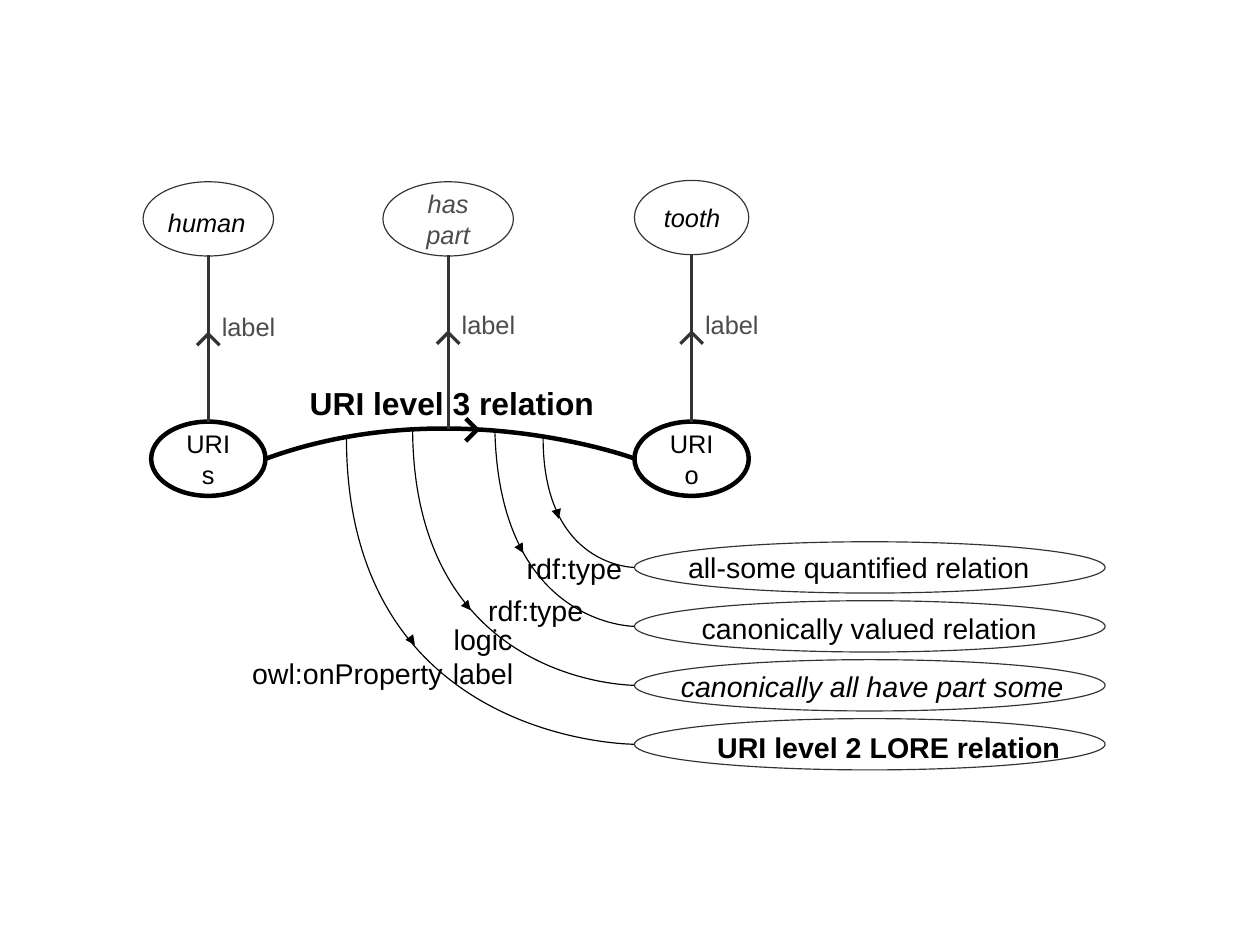
from lxml import etree
from pptx import Presentation
from pptx.dml.color import RGBColor
from pptx.enum.shapes import MSO_CONNECTOR, MSO_SHAPE
from pptx.enum.text import MSO_ANCHOR, MSO_AUTO_SIZE, PP_ALIGN
from pptx.oxml.ns import qn
from pptx.util import Cm, Pt

STRAIGHT = MSO_CONNECTOR.STRAIGHT
ELLIPSE = MSO_SHAPE.OVAL
CENTER, LEFT = PP_ALIGN.CENTER, PP_ALIGN.LEFT
MIDDLE = MSO_ANCHOR.MIDDLE
GROW = MSO_AUTO_SIZE.SHAPE_TO_FIT_TEXT

BLACK = RGBColor(0x00, 0x00, 0x00)
DARK = RGBColor(0x33, 0x33, 0x33)
GRAY = RGBColor(0x4C, 0x4C, 0x4C)
HAIR, THICK = 0, 2.83


class Diagram:
    font = "Arial"

    def __init__(self, slide):
        self.shapes = slide.shapes

    def stroke(self, sp, color, width):
        sp.line.color.rgb = color
        sp.line.width = Pt(width)

    def fill_text(self, tf, text, align, color=BLACK, **formats):
        tf.word_wrap = True
        p = tf.paragraphs[0]
        p.alignment = align
        r = p.add_run()
        r.text = text
        r.font.color.rgb = color
        for name, value in {"name": self.font, **formats}.items():
            setattr(r.font, name, value)

    def ellipse(self, x, y, w, h, color=DARK, width=HAIR, text="", text_color=BLACK,
                inset=(0.25, 0.13), **formats):
        sp = self.shapes.add_shape(ELLIPSE, Cm(x), Cm(y), Cm(w), Cm(h))
        sp.shadow.inherit = False
        sp.fill.background()
        self.stroke(sp, color, width)
        if text:
            tf = sp.text_frame
            tf.vertical_anchor = MIDDLE
            tf.margin_left = tf.margin_right = Cm(inset[0])
            tf.margin_top = tf.margin_bottom = Cm(inset[1])
            self.fill_text(tf, text, CENTER, text_color, **formats)
        return sp

    def text(self, x, y, w, h, text, align=CENTER, color=BLACK, **formats):
        tf = self.shapes.add_textbox(Cm(x), Cm(y), Cm(w), Cm(h)).text_frame
        tf.auto_size = GROW
        self.fill_text(tf, text, align, color, **formats)

    def line(self, start, end, color=DARK, width=HAIR, arrow=False, shapes=None):
        points = [Cm(v) for v in (*start, *end)]
        c = (shapes or self.shapes).add_connector(STRAIGHT, *points)
        self.stroke(c, color, width)
        if arrow:
            ln = c._element.spPr.find(qn("a:ln"))
            etree.SubElement(ln, qn("a:tailEnd"), type="triangle")
        etree.SubElement(c._element.spPr, qn("a:effectLst"))
        return c

    def chevron(self, tip, legs, color=DARK, width=HAIR):
        group = self.shapes.add_group_shape()
        for dx, dy in legs:
            self.line((tip[0] + dx, tip[1] + dy), tip, color, width, shapes=group.shapes)

    def curve(self, start, control1, control2, end, width=HAIR, apex=None):
        """Cubic curve; apex is its highest point when that lies between the ends."""
        fb = self.shapes.build_freeform(Cm(start[0]), Cm(start[1]))
        outline = [apex, end] if apex else [end]
        fb.add_line_segments([(Cm(x), Cm(y)) for x, y in outline], close=False)
        sp = fb.convert_to_shape()
        track = sp._element.find(".//" + qn("a:path"))
        for segment in track.findall(qn("a:lnTo")):
            track.remove(segment)
        bezier = etree.SubElement(track, qn("a:cubicBezTo"))
        for x, y in (control1, control2, end):
            etree.SubElement(bezier, qn("a:pt"), x=str(Cm(x) - sp.left), y=str(Cm(y) - sp.top))
        sp.shadow.inherit = False
        sp.fill.background()
        self.stroke(sp, BLACK, width)


def main():
    prs = Presentation()
    prs.slide_width, prs.slide_height = Cm(28), Cm(21)
    d = Diagram(prs.slides.add_slide(prs.slide_layouts[6]))
    small, medium = {"size": Pt(16)}, {"size": Pt(18)}

    # Subject, object and the relation between them
    subject, target = [
        d.ellipse(x, 9.37, 2.54, 1.65, BLACK, THICK, text, inset=(0.3, 0.18), **small)
        for x, text in ((3.36, "URI s"), (14.1, "URI o"))]
    d.curve((5.92, 10.19), (10.03, 8.69), (14.1, 10.19), (14.1, 10.19), THICK, apex=(10, 9.52))
    d.chevron((10.6, 9.55), ((-0.25, -0.25), (-0.25, 0.25)), BLACK, THICK)

    # Names above, each with its stem, arrow and label
    d.ellipse(3.18, 4.04, 2.9, 1.65)
    d.ellipse(8.51, 4.04, 2.9, 1.65, text="has part", text_color=GRAY, italic=True, **small)
    d.ellipse(14.1, 4.01, 2.54, 1.65)
    d.text(3.02, 4.47, 3.15, 0.89, "human", italic=True, **small)
    d.text(13.87, 4.37, 3.02, 0.94, "tooth", italic=True, **small)
    for x, bottom, tip, node in ((4.63, 9.37, 7.42, subject), (9.96, 9.53, 7.39, None),
                                 (15.37, 9.37, 7.39, target)):
        stem = d.line((x, bottom), (x, 5.67))
        if node:
            stem.begin_connect(node, 0)
        d.chevron((x, tip), ((-0.25, 0.25), (0.25, 0.25)))
        d.text(x + 0.05, tip - 0.64, 1.96, 0.97, "label", LEFT, GRAY, **small)
    d.text(6.35, 8.41, 7.39, 1.07, "URI level 3 relation", size=Pt(20), bold=True)

    # Statements about the relation: curve start, bend x, arrow, value text
    statements = (
        ((12.07, 9.73), 12.07, ((12.4, 11.46), (12.42, 11.53)),
         (15.04, 12.09, 9.32, 0.97, "all-some quantified relation", LEFT), {}),
        ((11, 9.63), 11.13, ((11.56, 12.17), (11.63, 12.29)),
         (15.34, 13.46, 8.66, 0.97, "canonically valued relation", LEFT), {}),
        ((9.17, 9.58), 9.22, ((10.36, 13.44), (10.46, 13.56)),
         (14.88, 14.73, 9.32, 0.97, "canonically all have part some", LEFT), {"italic": True}),
        ((7.7, 9.73), 7.7, ((9.14, 14.22), (9.22, 14.33)),
         (15.09, 16.1, 9.32, 0.99, "URI level 2 LORE relation", CENTER), {"bold": True}),
    )
    for i, (start, bend, arrow, value, formats) in enumerate(statements):
        top = 12.04 + 1.31 * i
        end = (14.1, top + 0.57)
        d.curve(start, (bend, end[1]), end, end)
        d.line(*arrow, BLACK, arrow=True)
        d.ellipse(14.1, top, 10.46, 1.14)
        d.text(*value, **medium, **formats)

    # Predicates beside the curves
    for box in ((11.43, 12.12, 2.67, 0.97, "rdf:type"), (10.57, 13.06, 2.67, 0.97, "rdf:type"),
                (9.4, 13.69, 2.67, 1.68, "logic label"),
                (4.85, 14.45, 5.74, 0.97, "owl:onProperty")):
        d.text(*box, **medium)

    prs.save("out.pptx")


if __name__ == "__main__":
    main()
